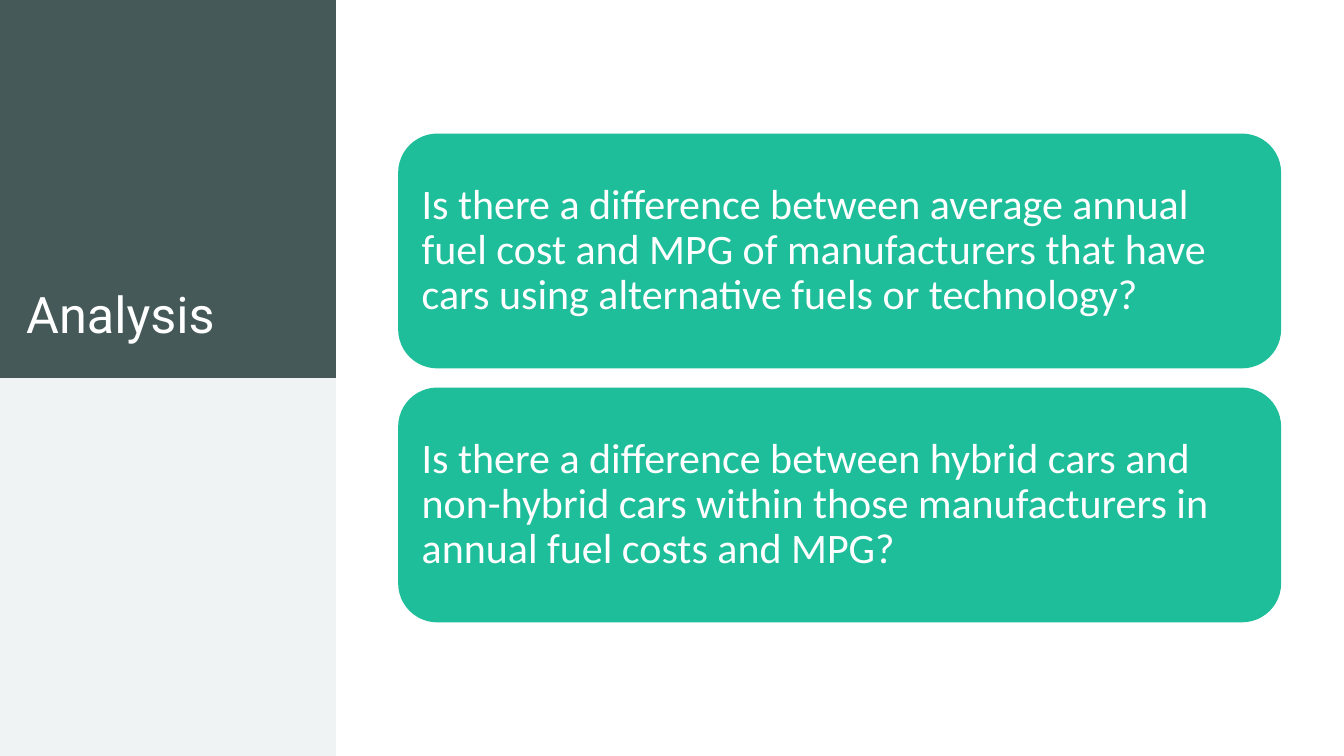
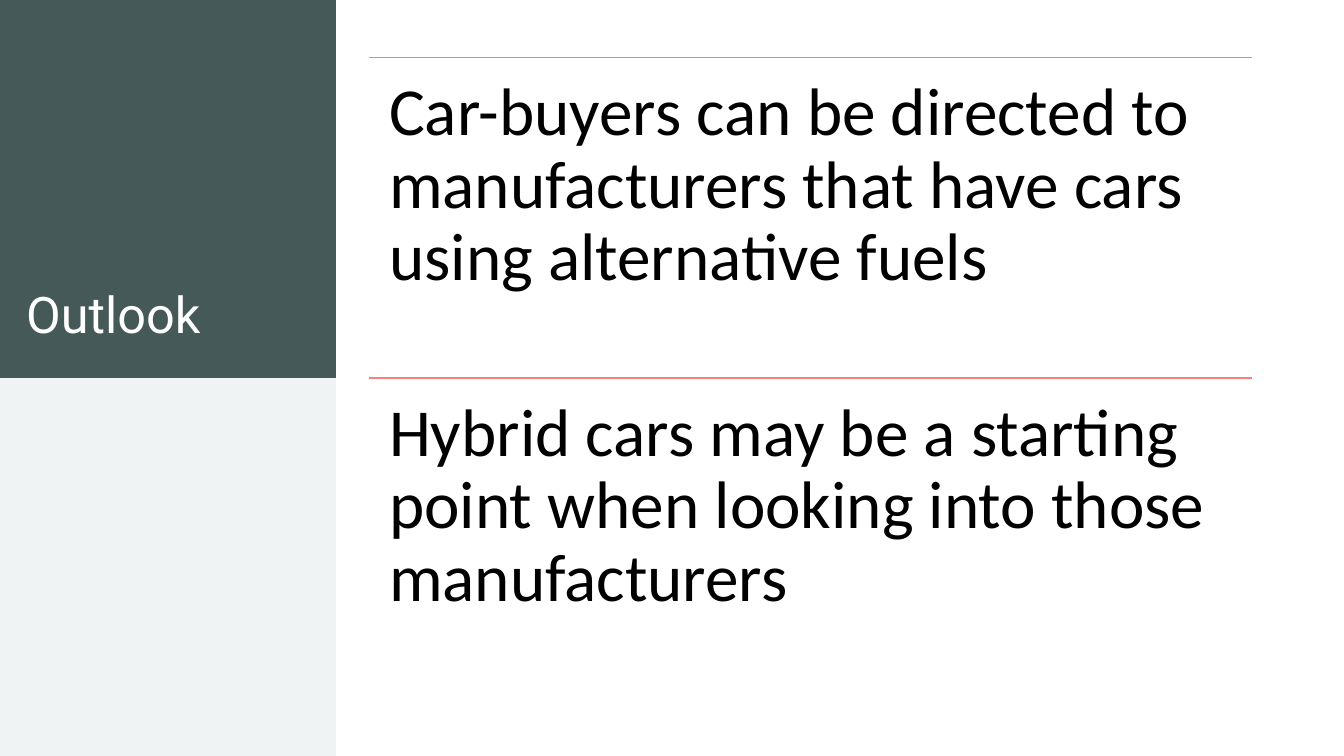
from lxml.etree import SubElement
from pptx import Presentation
from pptx.dml.color import RGBColor
from pptx.enum.shapes import MSO_CONNECTOR, MSO_SHAPE
from pptx.enum.text import MSO_ANCHOR, MSO_AUTO_SIZE, PP_ALIGN
from pptx.oxml.ns import qn
from pptx.util import Inches, Pt

WIDTH, HEIGHT = Inches(13.33), Inches(7.5)
COLUMNS, ROWS = 40, 30

SLATE = RGBColor(0x46, 0x59, 0x59)
MIST = RGBColor(0xF0, 0xF3, 0xF3)
TEAL = RGBColor(0x1E, 0xBE, 0x9B)
CORAL = RGBColor(0xFD, 0x7C, 0x7C)
WHITE = RGBColor(0xFF, 0xFF, 0xFF)
BLACK = RGBColor(0, 0, 0)

TITLE_FONT = {"name": "Roboto", "size": Pt(36)}
CARD_FONT = {"name": "Calibri", "size": Pt(30)}
POINT_FONT = {"name": "Calibri", "size": Pt(48)}

SIDEBAR_COLUMNS = COLUMNS / 4
CONTENT_COLUMNS = 26.28
CARD_LEFT, CARD_ROWS, CARD_GAP = 11.85, 9.32, 0.76
POINT_LEFT, POINT_TOP, POINT_ROWS = 10.98, 2.28, 12.72

QUESTIONS = [
    "Is there a difference between average annual fuel cost and MPG of manufacturers that have cars using alternative fuels or technology?",
    "Is there a difference between hybrid cars and non-hybrid cars within those manufacturers in annual fuel costs and MPG?",
]
POINTS = [
    "Car-buyers can be directed to manufacturers that have cars using alternative fuels",
    "Hybrid cars may be a starting point when looking into those manufacturers",
]
RULES = [(0, TEAL), (1, CORAL), (0, CORAL)]


def across(columns):
    return round(WIDTH * columns / COLUMNS)


def down(rows):
    return round(HEIGHT * rows / ROWS)


def area(left, top, columns, rows):
    return across(left), down(top), across(columns), down(rows)


def set_format(target, values):
    for name, value in values.items():
        setattr(target, name, value)


def write_text(shape, text, font, color, anchor, margin, spacing=0.9):
    frame = shape.text_frame
    set_format(frame, {
        "word_wrap": True,
        "auto_size": MSO_AUTO_SIZE.NONE,
        "vertical_anchor": anchor,
        "margin_left": margin,
        "margin_right": margin,
        "margin_top": margin,
        "margin_bottom": margin,
    })
    para = frame.paragraphs[0]
    set_format(para, {"alignment": PP_ALIGN.LEFT, "line_spacing": spacing})
    span = para.add_run()
    span.text = text
    set_format(span.font, font)
    span.font.color.rgb = color


def add_block(page, kind, place, color):
    block = page.shapes.add_shape(kind, *place)
    block.shadow.inherit = False
    block.fill.solid()
    block.fill.fore_color.rgb = color
    block.line.fill.background()
    return block


def add_rule(page, row, color):
    left, right = across(POINT_LEFT), across(POINT_LEFT + CONTENT_COLUMNS)
    rule = page.shapes.add_connector(
        MSO_CONNECTOR.STRAIGHT, left, down(row), right, down(row))
    rule.line.color.rgb = color
    rule.line.width = Pt(1)
    SubElement(rule.element.spPr, qn("a:effectLst"))


def add_page(deck, heading):
    page = deck.slides.add_slide(deck.slide_layouts[5])
    half = ROWS / 2
    for index, color in enumerate((SLATE, MIST)):
        place = area(0, index * half, SIDEBAR_COLUMNS, half)
        add_block(page, MSO_SHAPE.RECTANGLE, place, color)
    title = page.shapes.title
    page.shapes.element.append(title.element)
    names = ("left", "top", "width", "height")
    set_format(title, dict(zip(names, area(0.48, 1.6, 8.67, 12.44))))
    write_text(title, heading, TITLE_FONT, WHITE, MSO_ANCHOR.BOTTOM, Inches(0.1), 1.0)
    return page


def add_cards(page, questions):
    pitch = CARD_ROWS + CARD_GAP
    top = (ROWS - len(questions) * pitch + CARD_GAP) / 2
    for index, question in enumerate(questions):
        place = area(CARD_LEFT, top + index * pitch, CONTENT_COLUMNS, CARD_ROWS)
        card = add_block(page, MSO_SHAPE.ROUNDED_RECTANGLE, place, TEAL)
        write_text(card, question, CARD_FONT, WHITE, MSO_ANCHOR.MIDDLE, Inches(0.12))


def add_points(page, points):
    for index, point in enumerate(points):
        place = area(POINT_LEFT, POINT_TOP + index * POINT_ROWS, CONTENT_COLUMNS, POINT_ROWS)
        box = page.shapes.add_textbox(*place)
        write_text(box, point, POINT_FONT, BLACK, MSO_ANCHOR.TOP, Inches(0.2))
    for index, color in RULES:
        add_rule(page, POINT_TOP + index * POINT_ROWS, color)


def main():
    deck = Presentation()
    set_format(deck, {"slide_width": WIDTH, "slide_height": HEIGHT})
    add_cards(add_page(deck, "Analysis"), QUESTIONS)
    add_points(add_page(deck, "Outlook"), POINTS)
    deck.save("out.pptx")


if __name__ == "__main__":
    main()
